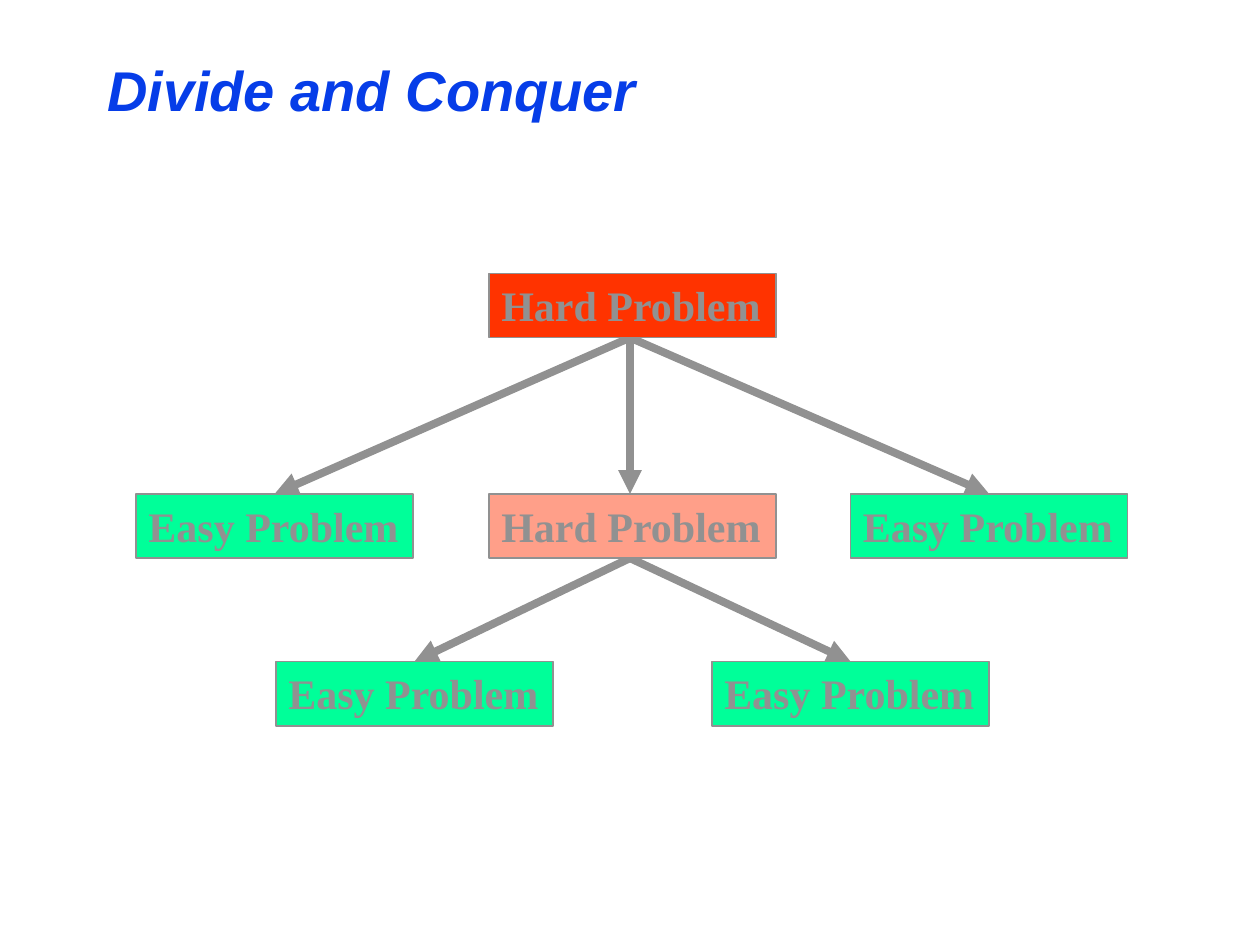
from dataclasses import dataclass
from lxml import etree
from pptx import Presentation
from pptx import util as u
from pptx.dml.color import RGBColor
from pptx.enum import shapes, text
from pptx.oxml import ns


@dataclass(frozen=True)
class Theme:
    blue: str = "063DE8"
    gray: str = "919191"
    green: str = "00FF99"
    red: str = "FF3300"
    pink: str = "FF9F89"
    head: str = "Arial"
    body: str = "Times New Roman"
    head_size: int = 32
    body_size: int = 24
    edge: float = 1
    arrow: float = 4.5


THEME = Theme()
HARD, EASY = "Hard Problem", "Easy Problem"
HARD_W, EASY_W, NODE_H = 2.28, 2.2, 0.51
HUB = 5  # x where the arrows start
HARD_X = 3.88


def write(frame, words, *, font, size, color, italic=False, wrap=True,
          anchor=text.MSO_ANCHOR.MIDDLE):
    frame.word_wrap = wrap
    frame.vertical_anchor = anchor
    par = frame.paragraphs[0]
    par.alignment = text.PP_ALIGN.LEFT
    run = par.add_run()
    run.text = words
    run.font.name, run.font.size = font, u.Pt(size)
    run.font.bold, run.font.italic = True, italic
    run.font.color.rgb = RGBColor.from_string(color)


def title(slide, box, words):
    shape = slide.shapes.title
    shape.left, shape.top, shape.width, shape.height = map(u.Inches, box)
    write(shape.text_frame, words, font=THEME.head, size=THEME.head_size,
          color=THEME.blue, italic=True)


def node(parent, box, words, fill, wrap=False):
    shape = parent.add_shape(shapes.MSO_SHAPE.RECTANGLE, *map(u.Inches, box))
    shape.shadow.inherit = False
    shape.fill.solid()
    shape.fill.fore_color.rgb = RGBColor.from_string(fill)
    shape.line.color.rgb = RGBColor.from_string(THEME.gray)
    shape.line.width = u.Pt(THEME.edge)
    write(shape.text_frame, words, font=THEME.body, size=THEME.body_size,
          color=THEME.gray, wrap=wrap, anchor=text.MSO_ANCHOR.TOP)
    shape.text_frame.auto_size = text.MSO_AUTO_SIZE.SHAPE_TO_FIT_TEXT


def arrow(parent, start, end):
    link = parent.add_connector(shapes.MSO_CONNECTOR.STRAIGHT,
                                *map(u.Inches, start + end))
    link.line.color.rgb = RGBColor.from_string(THEME.gray)
    link.line.width = u.Pt(THEME.arrow)
    etree.SubElement(link.line._get_or_add_ln(), ns.qn("a:tailEnd"),
                     type="triangle")
    etree.SubElement(link._element.spPr, ns.qn("a:effectLst"))


def split(slide, box, middle=False):
    """Draw arrows from the hub at the top of the box to the nodes at its foot."""
    left, top, width, height = box
    row = top + height - NODE_H
    sides = [left, left + width - EASY_W]
    ends = [x + EASY_W / 2 for x in sides] + [HUB] * middle
    group = slide.shapes.add_group_shape().shapes
    for x in ends:
        arrow(group, (HUB, top), (x, row))
    if middle:
        node(group, (HARD_X, row, HARD_W, NODE_H), HARD, THEME.pink)
    for x in sides:
        node(group, (x, row, EASY_W, NODE_H), EASY, THEME.green)


def main():
    deck = Presentation()
    deck.slide_width, deck.slide_height = u.Inches(10), u.Inches(7.5)
    slide = deck.slides.add_slide(deck.slide_layouts.get_by_name("Title Only"))
    title(slide, (0.75, 0.33, 8.5, 0.75), "Divide and Conquer")
    split(slide, (2.19, 4.43, 5.66, 1.33))
    split(slide, (1.08, 2.68, 7.87, 1.75), middle=True)
    node(slide.shapes, (HARD_X, 2.17, HARD_W, NODE_H), HARD, THEME.red,
         wrap=True)
    deck.save("out.pptx")


if __name__ == "__main__":
    main()
